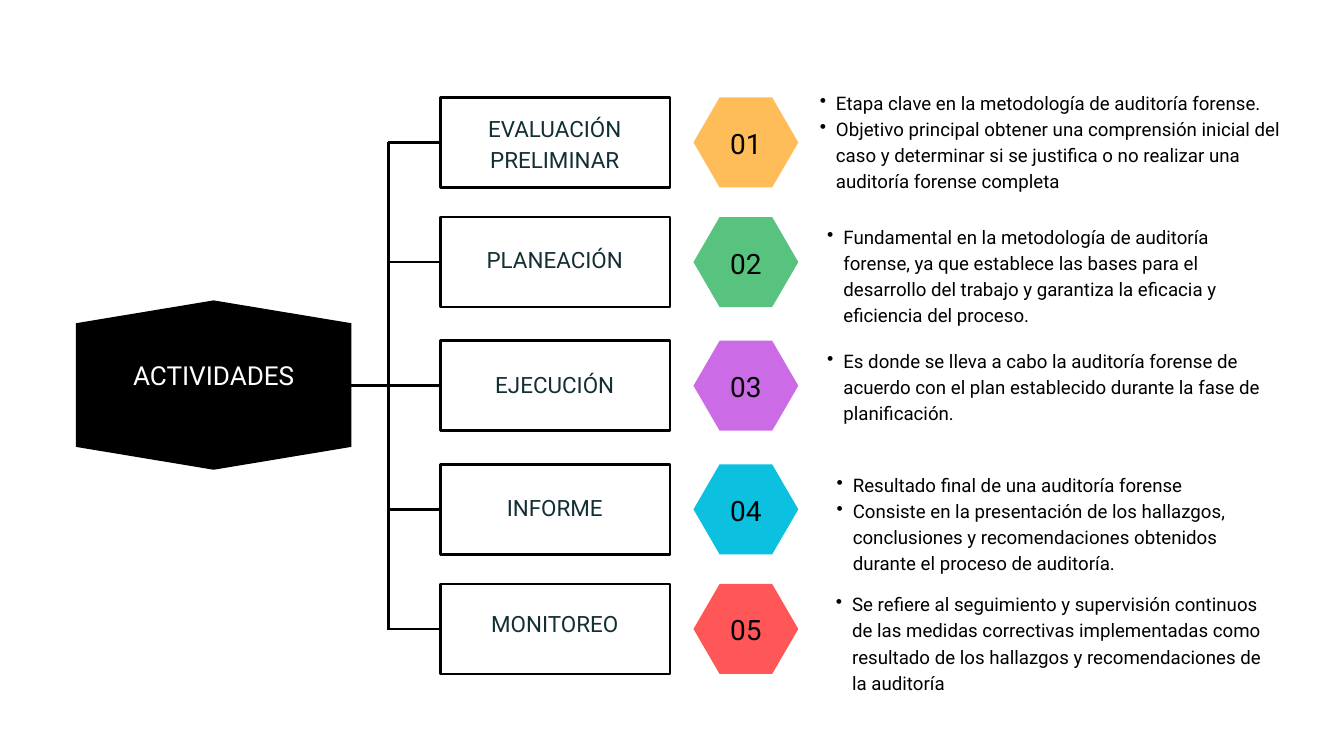
from dataclasses import dataclass

from lxml.etree import SubElement
from pptx import Presentation
from pptx.dml.color import RGBColor
from pptx.enum.shapes import MSO_CONNECTOR, MSO_SHAPE
from pptx.enum.text import MSO_ANCHOR, PP_ALIGN
from pptx.oxml.ns import qn
from pptx.util import Inches, Pt

BLACK = "000000"
BOX_LEFT, BOX_WIDTH = 6.55, 3.42
HEXAGON_LEFT, HEXAGON_WIDTH = 10.32, 1.56
ROW_HEIGHT = 1.34
TRUNK_X, BRANCH_END = 5.78, 6.58

NUMBER = {"size": 30, "color": "010204", "spacing": 29.7}
TITLE = {"size": 24, "color": "132E34", "spacing": 33.6}
DETAIL = {"size": 20, "color": BLACK, "spacing": 28}
ROOT = {"size": 28, "color": "FFFFFF", "spacing": 39.2}


@dataclass
class Activity:
    title: str
    color: str
    top: float
    title_top: float
    detail_box: tuple[float, float, float, float]
    details: list[str]

    @property
    def middle(self) -> float:
        return self.top + ROW_HEIGHT / 2


ACTIVITIES = [
    Activity("EVALUACIÓN PRELIMINAR", "FFBD59", 1.45, 1.64, (11.97, 1.31, 7.32, 1.53), [
        "Etapa clave en la metodología de auditoría forense.",
        "Objetivo principal obtener una comprensión inicial del caso y determinar "
        "si se justifica o no realizar una auditoría forense completa"]),
    Activity("PLANEACIÓN", "57C37F", 3.23, 3.6, (12.08, 3.3, 6.79, 1.53), [
        "Fundamental en la metodología de auditoría forense, ya que establece las bases "
        "para el desarrollo del trabajo y garantiza la eficacia y eficiencia del proceso."]),
    Activity("EJECUCIÓN", "CB6CE6", 5.07, 5.45, (12.08, 5.15, 6.79, 1.14), [
        "Es donde se lleva a cabo la auditoría forense de acuerdo con el plan establecido "
        "durante la fase de planificación."]),
    Activity("INFORME", "0CC0DF", 6.91, 7.29, (12.22, 6.99, 6.79, 1.91), [
        "Resultado final de una auditoría forense",
        "Consiste en la presentación de los hallazgos, conclusiones y recomendaciones "
        "obtenidos durante el proceso de auditoría."]),
    Activity("MONITOREO", "FF5757", 8.69, 9.01, (12.21, 8.77, 6.79, 1.91), [
        "Se refiere al seguimiento y supervisión continuos de las medidas correctivas "
        "implementadas como resultado de los hallazgos y recomendaciones de la auditoría"]),
]


def set_color(color_format, color: str) -> None:
    color_format.rgb = RGBColor.from_string(color)


def fill_shape(shape, color: str) -> None:
    shape.shadow.inherit = False
    shape.fill.solid()
    set_color(shape.fill.fore_color, color)
    shape.line.fill.background()


def add_bullet(paragraph) -> None:
    paragraph.level = 1
    properties = paragraph._p.get_or_add_pPr()
    properties.set("marL", str(Inches(0.47)))
    properties.set("indent", str(Inches(-0.24)))
    SubElement(properties, qn("a:buChar")).set("char", "•")


def add_text(slide, box: tuple[float, float, float, float], texts: list[str], style: dict,
             anchor=MSO_ANCHOR.TOP, inset: float = 0, bulleted: bool = False) -> None:
    frame = slide.shapes.add_textbox(*map(Inches, box)).text_frame
    frame_format = {"word_wrap": True, "vertical_anchor": anchor}
    frame_format |= {f"margin_{side}": Inches(inset) for side in ("left", "top", "right", "bottom")}
    for name, value in frame_format.items():
        setattr(frame, name, value)
    for index, text in enumerate(texts):
        paragraph = frame.add_paragraph() if index else frame.paragraphs[0]
        paragraph.line_spacing = Pt(style["spacing"])
        if bulleted:
            add_bullet(paragraph)
        else:
            paragraph.alignment = PP_ALIGN.CENTER
        run = paragraph.add_run()
        run.text = text
        for name, value in {"name": "Roboto", "size": Pt(style["size"])}.items():
            setattr(run.font, name, value)
        set_color(run.font.color, style["color"])


def add_line(slide, start: tuple[float, float], end: tuple[float, float]) -> None:
    connector = slide.shapes.add_connector(MSO_CONNECTOR.STRAIGHT, *map(Inches, start + end))
    connector.line.width = Pt(3)
    set_color(connector.line.color, BLACK)
    SubElement(connector._element.spPr, qn("a:effectLst"))


def add_activity(slide, number: int, activity: Activity) -> None:
    hexagon = slide.shapes.add_shape(
        MSO_SHAPE.HEXAGON, Inches(HEXAGON_LEFT), Inches(activity.top),
        Inches(HEXAGON_WIDTH), Inches(ROW_HEIGHT))
    hexagon.adjustments[0] = 0.29
    fill_shape(hexagon, activity.color)
    add_text(slide, (HEXAGON_LEFT + 0.22, activity.top + 0.11, 1.12, 1.23), [f"{number:02}"],
             NUMBER, MSO_ANCHOR.MIDDLE, 0.01)

    box = slide.shapes.add_shape(
        MSO_SHAPE.RECTANGLE, Inches(BOX_LEFT), Inches(activity.top),
        Inches(BOX_WIDTH), Inches(ROW_HEIGHT))
    box.shadow.inherit = False
    box.fill.background()
    box.line.width = Pt(3)
    set_color(box.line.color, BLACK)
    add_text(slide, (6.9, activity.title_top, 2.71, 0.9), [activity.title], TITLE)
    add_text(slide, activity.detail_box, activity.details, DETAIL, bulleted=True)


def add_tree_lines(slide) -> None:
    """Draw the trunk, a branch to each box and the stem from the root."""
    root_row = len(ACTIVITIES) // 2
    for row, activity in enumerate(ACTIVITIES):
        start = 5.05 if row == root_row else TRUNK_X
        add_line(slide, (start, activity.middle), (BRANCH_END, activity.middle))
    add_line(slide, (TRUNK_X, ACTIVITIES[-1].middle + 0.02), (TRUNK_X, ACTIVITIES[0].middle))


def add_root(slide) -> None:
    left, center, right = 1.13, 3.18, 5.23
    points = [(center, 4.47), (right, 4.81), (right, 6.65), (center, 6.99),
              (left, 6.65), (left, 4.81)]
    builder = slide.shapes.build_freeform(Inches(points[0][0]), Inches(points[0][1]))
    builder.add_line_segments([(Inches(x), Inches(y)) for x, y in points[1:]], close=True)
    fill_shape(builder.convert_to_shape(), BLACK)
    add_text(slide, (left, 4.26, right - left, 2.56), ["ACTIVIDADES"], ROOT,
             MSO_ANCHOR.MIDDLE, 0.06)


def main() -> None:
    presentation = Presentation()
    presentation.slide_width = Inches(20)
    presentation.slide_height = Inches(11.25)
    slide = presentation.slides.add_slide(presentation.slide_layouts[6])
    for number, activity in enumerate(ACTIVITIES, 1):
        add_activity(slide, number, activity)
    add_tree_lines(slide)
    add_root(slide)
    presentation.save("out.pptx")


if __name__ == "__main__":
    main()
